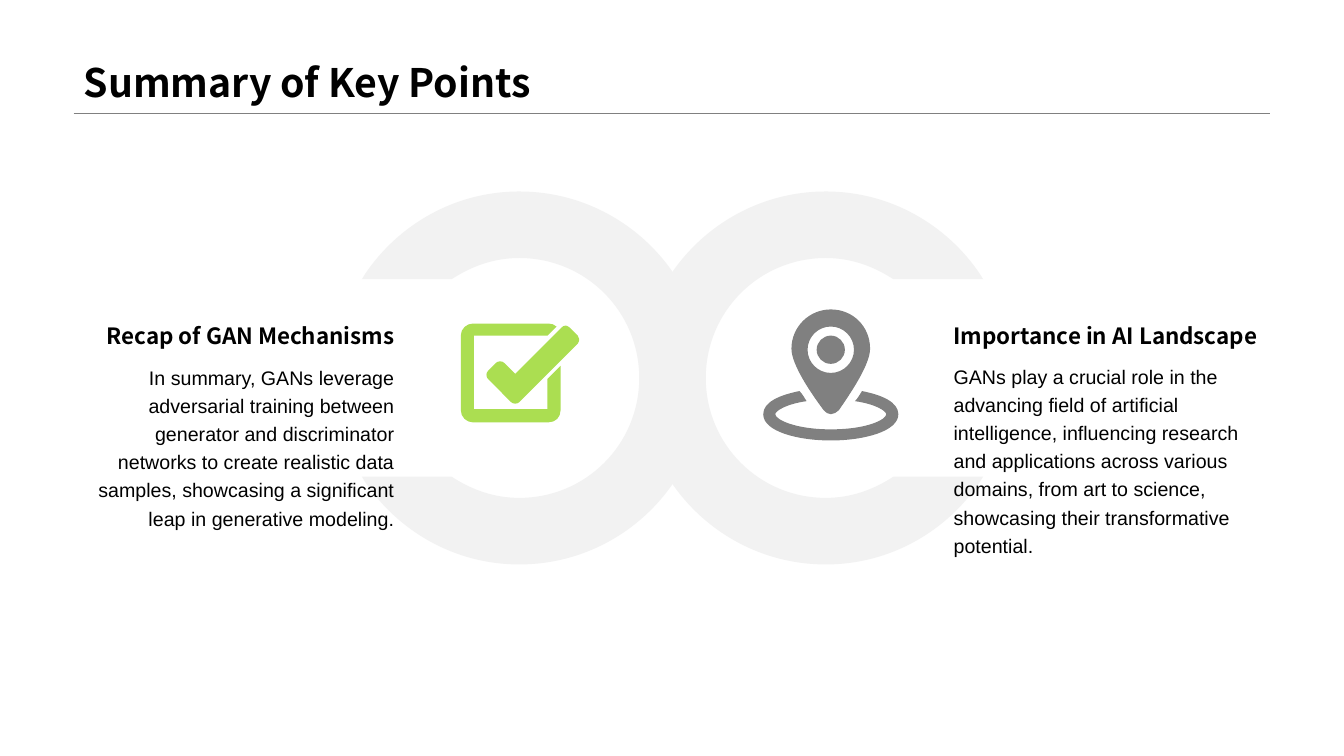
import dataclasses

import lxml.etree
import pptx
import pptx.dml.color
import pptx.enum.shapes
import pptx.enum.text
import pptx.oxml.ns
import pptx.slide
import pptx.text.text
import pptx.util

EMU_PER_PX = 9144  # 100 px to the inch

BLACK = pptx.dml.color.RGBColor(0x00, 0x00, 0x00)
GREY = pptx.dml.color.RGBColor(0x80, 0x80, 0x80)
PALE_GREY = pptx.dml.color.RGBColor(0xF2, 0xF2, 0xF2)
GREEN = pptx.dml.color.RGBColor(0xAB, 0xDE, 0x51)

HEADING_FONT = "Noto Sans CJK SC"
BODY_FONT = "Arial"
LEFT = pptx.enum.text.PP_ALIGN.LEFT
RIGHT = pptx.enum.text.PP_ALIGN.RIGHT
TOP = pptx.enum.text.MSO_ANCHOR.TOP
BOTTOM = pptx.enum.text.MSO_ANCHOR.BOTTOM

MARGIN_LEFT, MARGIN_RIGHT, RULE_Y = 73, 1260, 112
TITLE_HEIGHT = 110
RING_Y = 375
CIRCLE_HANDLE = 0.55  # Bézier handle length of a quarter circle of radius 1

# Each segment is a line end (x, y) or a Bézier curve (x1, y1, x2, y2, x, y).
Segment = tuple[float, ...]
Contour = list[Segment]


@dataclasses.dataclass(frozen=True)
class TextStyle:
    font: str
    size: int
    bold: bool
    line_spacing: float
    anchor: pptx.enum.text.MSO_ANCHOR


@dataclasses.dataclass(frozen=True)
class KeyPoint:
    heading: str
    body: str
    left: int
    width: int
    body_top: int
    alignment: pptx.enum.text.PP_ALIGN
    ring_x: int
    opening: int  # -1 opens to the left, 1 to the right


TITLE_STYLE = TextStyle(HEADING_FONT, 28, True, 0.9, BOTTOM)
HEADING_STYLE = TextStyle(HEADING_FONT, 16, True, 1.0, BOTTOM)
BODY_STYLE = TextStyle(BODY_FONT, 14, False, 1.2, TOP)

KEY_POINTS = [
    KeyPoint(
        "Importance in AI Landscape",
        "GANs play a crucial role in the advancing field of artificial intelligence, "
        "influencing research and applications across various domains, from art to "
        "science, showcasing their transformative potential.",
        936, 324, 352, LEFT, 819, 1,
    ),
    KeyPoint(
        "Recap of GAN Mechanisms",
        "In summary, GANs leverage adversarial training between generator and "
        "discriminator networks to create realistic data samples, showcasing a "
        "significant leap in generative modeling.",
        73, 328, 353, RIGHT, 515, -1,
    ),
]

# Relative to the ring's centre, open to the right.
RING: Contour = [
    (0, -185), (64, -185, 120, -152, 153, -103), (156, -98), (67, -98),
    (47, -111, 25, -119, 0, -119), (-66, -119, -119, -66, -119, 0),
    (-119, 66, -66, 119, 0, 119), (25, 119, 47, 111, 67, 98),
    (156, 98), (153, 103), (120, 152, 64, 185, 0, 185),
    (-102, 185, -185, 102, -185, 0), (-185, -102, -102, -185, 0, -185),
]
TICK: Contour = [
    (561, 323), (562, 323, 564, 324, 565, 325), (573, 333),
    (575, 335, 575, 338, 573, 341), (515, 399),
    (513, 401, 509, 401, 507, 399), (484, 376),
    (482, 374, 482, 370, 484, 368), (492, 360),
    (494, 358, 498, 358, 500, 360), (511, 371), (557, 325),
    (558, 324, 559, 323, 561, 323),
]
CHECK_BOX: Contour = [
    (469, 321), (544, 321), (547, 321, 550, 322, 552, 324), (543, 333),
    (470, 333), (470, 406), (543, 406), (543, 376), (556, 363), (556, 407),
    (556, 414, 551, 419, 544, 419), (469, 419),
    (463, 419, 457, 414, 457, 407), (457, 333),
    (457, 326, 463, 321, 469, 321),
]
PIN_BASE: Contour = [
    (793, 388), (796, 391, 798, 395, 800, 398),
    (779, 401, 769, 408, 769, 411), (769, 416, 788, 426, 824, 426),
    (861, 426, 879, 416, 879, 411), (879, 408, 869, 401, 848, 398),
    (851, 395, 853, 391, 855, 388), (875, 392, 891, 399, 891, 411),
    (891, 428, 857, 437, 824, 437), (791, 437, 757, 428, 757, 411),
    (757, 399, 773, 392, 793, 388),
]
PIN_BODY: Contour = [
    (824, 307), (846, 307, 863, 324, 863, 346),
    (863, 362, 843, 391, 832, 407), (830, 409, 827, 411, 824, 411),
    (821, 411, 819, 409, 817, 407), (805, 391, 785, 362, 785, 346),
    (785, 324, 803, 307, 824, 307),
]
UNIT_CIRCLE: Contour = [
    (0, -1), (CIRCLE_HANDLE, -1, 1, -CIRCLE_HANDLE, 1, 0),
    (1, CIRCLE_HANDLE, CIRCLE_HANDLE, 1, 0, 1),
    (-CIRCLE_HANDLE, 1, -1, CIRCLE_HANDLE, -1, 0),
    (-1, -CIRCLE_HANDLE, -CIRCLE_HANDLE, -1, 0, -1),
]


def px(length: float) -> pptx.util.Emu:
    return pptx.util.Emu(round(length * EMU_PER_PX))


def place(contour: Contour, x: int, y: int, scale_x: int, scale_y: int) -> Contour:
    """Scale a contour about its centre and move the centre to (x, y)."""
    return [
        tuple(
            y + scale_y * value if index % 2 else x + scale_x * value
            for index, value in enumerate(segment)
        )
        for segment in contour
    ]


def draw_outline(
    slide: pptx.slide.Slide, contours: list[Contour], color: pptx.dml.color.RGBColor
) -> None:
    """Draw contours as one freeform, joining each three handle lines into a curve."""
    builder = slide.shapes.build_freeform(*map(px, contours[0][0]))
    for index, contour in enumerate(contours):
        if index:
            builder.move_to(*map(px, contour[0]))
        points = [
            (px(segment[k]), px(segment[k + 1]))
            for segment in contour[1:]
            for k in range(0, len(segment), 2)
        ]
        builder.add_line_segments(points, close=True)
    shape = builder.convert_to_shape()
    shape.shadow.inherit = False
    shape.fill.solid()
    shape.fill.fore_color.rgb = color
    shape.line.fill.background()

    outline = next(shape._element.iter(pptx.oxml.ns.qn("a:path")))
    edges = iter(outline.findall(pptx.oxml.ns.qn("a:lnTo")))
    for segment in (segment for contour in contours for segment in contour[1:]):
        edge = next(edges)
        if len(segment) == 6:
            edge.tag = pptx.oxml.ns.qn("a:cubicBezTo")
            for extra in (next(edges), next(edges)):
                edge.append(extra[0])
                outline.remove(extra)


def write_text(
    frame: pptx.text.text.TextFrame,
    text: str,
    style: TextStyle,
    alignment: pptx.enum.text.PP_ALIGN,
    auto_size: pptx.enum.text.MSO_AUTO_SIZE,
) -> None:
    frame.word_wrap = True
    frame.auto_size = auto_size
    frame.vertical_anchor = style.anchor
    paragraph = frame.paragraphs[0]
    paragraph.alignment = alignment
    paragraph.line_spacing = style.line_spacing
    run = paragraph.add_run()
    run.text = text
    run.font.name = style.font
    run.font.size = pptx.util.Pt(style.size)
    run.font.bold = style.bold
    run.font.color.rgb = BLACK


def draw_title(slide: pptx.slide.Slide, text: str) -> None:
    rule = slide.shapes.add_connector(
        pptx.enum.shapes.MSO_CONNECTOR.STRAIGHT,
        px(MARGIN_LEFT), px(RULE_Y), px(MARGIN_RIGHT), px(RULE_Y),
    )
    rule.line.color.rgb = GREY
    rule.line.width = pptx.util.Pt(0.25)
    lxml.etree.SubElement(rule._element.spPr, pptx.oxml.ns.qn("a:effectLst"))
    title = slide.shapes.title
    title.left, title.top = px(MARGIN_LEFT), px(0)
    title.width, title.height = px(MARGIN_RIGHT - MARGIN_LEFT), px(TITLE_HEIGHT)
    write_text(title.text_frame, text, TITLE_STYLE, LEFT, pptx.enum.text.MSO_AUTO_SIZE.NONE)


def draw_key_text(slide: pptx.slide.Slide, point: KeyPoint) -> None:
    grow = pptx.enum.text.MSO_AUTO_SIZE.SHAPE_TO_FIT_TEXT
    for text, style, top, height in (
        (point.body, BODY_STYLE, point.body_top, 92),
        (point.heading, HEADING_STYLE, 314, 37),
    ):
        box = slide.shapes.add_textbox(px(point.left), px(top), px(point.width), px(height))
        write_text(box.text_frame, text, style, point.alignment, grow)


def main() -> None:
    presentation = pptx.Presentation()
    presentation.slide_width, presentation.slide_height = px(1333), px(750)
    slide = presentation.slides.add_slide(presentation.slide_layouts.get_by_name("Title Only"))
    draw_title(slide, "Summary of Key Points")
    for point in KEY_POINTS:
        draw_outline(slide, [place(RING, point.ring_x, RING_Y, point.opening, 1)], PALE_GREY)
    draw_outline(slide, [TICK, CHECK_BOX], GREEN)
    pin_circles = [place(UNIT_CIRCLE, 824, 347, radius, radius) for radius in (23, 14)]
    draw_outline(slide, [PIN_BASE, PIN_BODY, *pin_circles], GREY)
    for point in KEY_POINTS:
        draw_key_text(slide, point)
    presentation.save("out.pptx")


if __name__ == "__main__":
    main()
